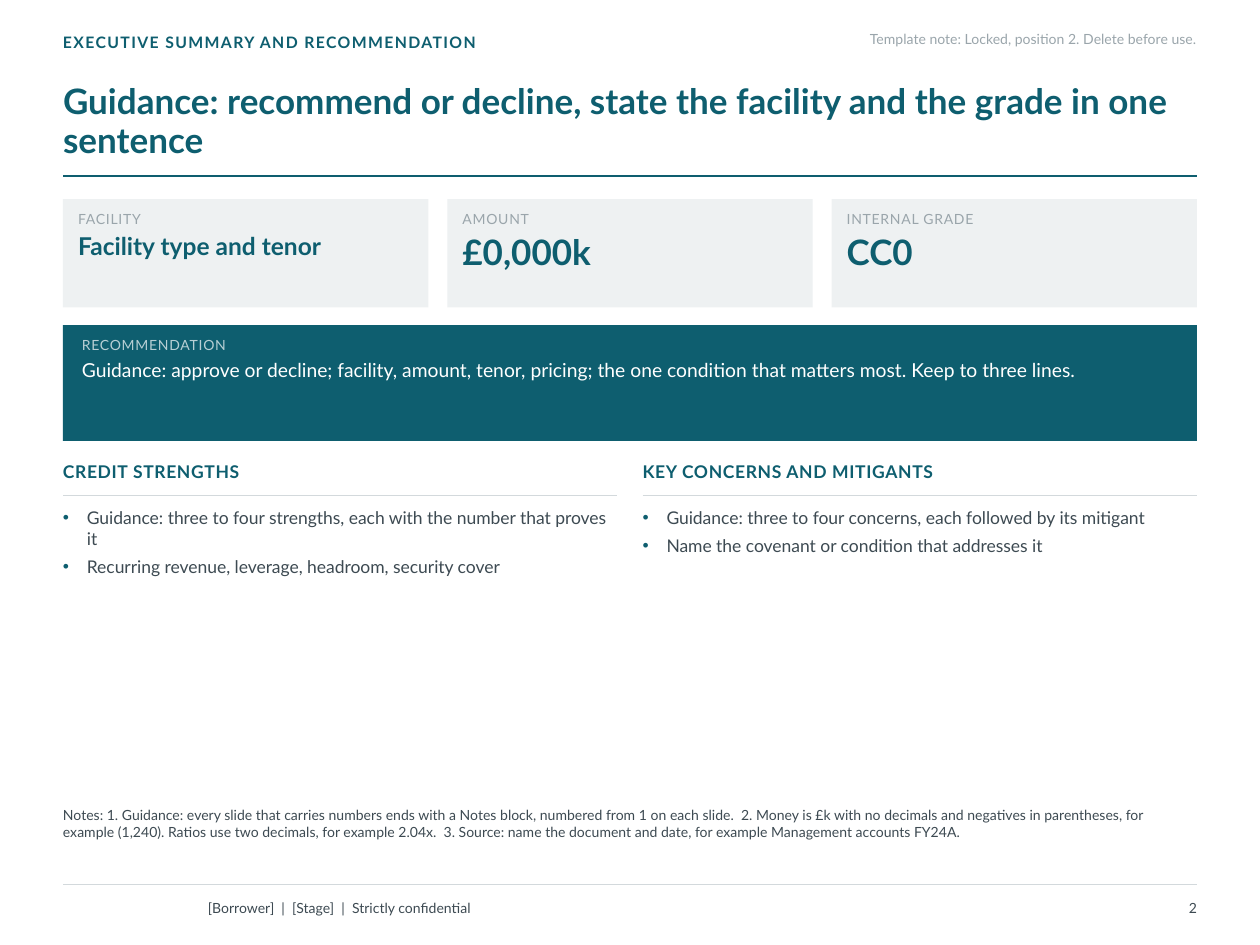
from lxml import etree
from pptx import Presentation
from pptx.dml.color import RGBColor
from pptx.enum.shapes import MSO_CONNECTOR, MSO_SHAPE
from pptx.enum.text import MSO_ANCHOR, MSO_AUTO_SIZE, PP_ALIGN
from pptx.oxml.ns import qn
from pptx.util import Pt

STRAIGHT = MSO_CONNECTOR.STRAIGHT
RECTANGLE = MSO_SHAPE.RECTANGLE
TOP, MIDDLE, BOTTOM = MSO_ANCHOR.TOP, MSO_ANCHOR.MIDDLE, MSO_ANCHOR.BOTTOM
LEFT, RIGHT = PP_ALIGN.LEFT, PP_ALIGN.RIGHT
NO_AUTOFIT = MSO_AUTO_SIZE.NONE

TEAL = RGBColor(0x0E, 0x5E, 0x6F)
PALE_TEAL = RGBColor(0xB7, 0xCF, 0xD4)
PANEL = RGBColor(0xEE, 0xF1, 0xF2)
RULE = RGBColor(0xD3, 0xD9, 0xDC)
MUTED = RGBColor(0x9A, 0xA5, 0xAB)
BODY = RGBColor(0x3D, 0x4A, 0x52)
WHITE = RGBColor(0xFF, 0xFF, 0xFF)

FONT = "Lato"
MARGIN = 36
CONTENT_WIDTH = 648
BULLET_INDENT = 13.68


def style(paragraph, size, color, bold=False, spacing=0, align=LEFT):
    paragraph.alignment = align
    for run in paragraph.runs:
        run.font.name = FONT
        run.font.size = Pt(size)
        run.font.bold = bold
        run.font.color.rgb = color
        if spacing:
            run.font._element.set("spc", str(round(spacing * 100)))


def set_frame(frame, insets=(0, 0, 0, 0), anchor=TOP):
    frame.word_wrap = True
    frame.auto_size = NO_AUTOFIT
    frame.vertical_anchor = anchor
    frame.margin_left, frame.margin_top, frame.margin_right, frame.margin_bottom = map(Pt, insets)


def add_label(slide, box, text, size, color, insets=(0, 0, 0, 0), anchor=TOP, **format_options):
    frame = slide.shapes.add_textbox(*map(Pt, box)).text_frame
    set_frame(frame, insets, anchor)
    frame.text = text
    style(frame.paragraphs[0], size, color, **format_options)


def add_rule(slide, left, top, width, color, weight):
    rule = slide.shapes.add_connector(STRAIGHT, Pt(left), Pt(top), Pt(left + width), Pt(top))
    rule.line.color.rgb = color
    rule.line.width = Pt(weight)
    etree.SubElement(rule._element.spPr, qn("a:effectLst"))


def add_bullet(paragraph):
    properties = paragraph._p.get_or_add_pPr()
    properties.set("marL", str(Pt(BULLET_INDENT)))
    properties.set("indent", str(-Pt(BULLET_INDENT)))
    bullet_color = etree.SubElement(properties, qn("a:buClr"))
    etree.SubElement(bullet_color, qn("a:srgbClr"), val=str(TEAL))
    etree.SubElement(properties, qn("a:buFont"), typeface="Arial")
    etree.SubElement(properties, qn("a:buChar"), char="•")


def add_header(slide, left, top, width, height):
    add_label(slide, (left, top + 1.44, 504, 17.28), "EXECUTIVE SUMMARY AND RECOMMENDATION",
              9, TEAL, bold=True, spacing=0.8)
    add_label(slide, (left + width - 295.2, top, 295.2, 17.28),
              "Template note: Locked, position 2. Delete before use.", 8, MUTED, align=RIGHT)

    title = slide.shapes.title
    title.left, title.top, title.width, title.height = map(Pt, (left, 36, width, 59.04))
    set_frame(title.text_frame, (0, 0, 0, 2.88), BOTTOM)
    title.text_frame.text = ("Guidance: recommend or decline, state the facility "
                             "and the grade in one sentence")
    heading = title.text_frame.paragraphs[0]
    heading.line_spacing = 0.92
    style(heading, 20, TEAL, bold=True)
    add_rule(slide, left, top + height, width, TEAL, 1.25)


def add_panel(slide, box, fill, insets, label, label_color, text, size, color, gap, bold):
    panel = slide.shapes.add_shape(RECTANGLE, *map(Pt, box))
    panel.shadow.inherit = False
    panel.fill.solid()
    panel.fill.fore_color.rgb = fill
    panel.line.fill.background()
    set_frame(panel.text_frame, insets)
    panel.text_frame.text = f"{label}\n{text}"
    caption, content = panel.text_frame.paragraphs
    style(caption, 8, label_color, spacing=0.4)
    content.space_before = Pt(gap)
    style(content, size, color, bold=bold)


def add_facts(slide, left, top, width, height):
    facts = [("FACILITY", "Facility type and tenor", 14),
             ("AMOUNT", "£0,000k", 20),
             ("INTERNAL GRADE", "CC0", 20)]
    gap = 10.8
    card_width = (width - gap * (len(facts) - 1)) / len(facts)
    for index, (label, value, size) in enumerate(facts):
        box = (left + index * (card_width + gap), top, card_width, height)
        add_panel(slide, box, PANEL, (8.64, 6.48, 7.2, 3.6), label, MUTED,
                  value, size, TEAL, gap=2, bold=True)


def add_recommendation(slide, *box):
    add_panel(slide, box, TEAL, (10.8, 6.48, 10.8, 3.6), "RECOMMENDATION", PALE_TEAL,
              "Guidance: approve or decline; facility, amount, tenor, pricing; "
              "the one condition that matters most. Keep to three lines.",
              11, WHITE, gap=3, bold=False)


def add_points(slide, left, top, width, height, heading, points):
    add_label(slide, (left, top, width, 18.72), heading, 10, TEAL, bold=True, spacing=0.4)
    add_rule(slide, left, top + 19.44, width, RULE, 0.75)
    list_box = (left, top + 24.48, width, height - 24.48)
    frame = slide.shapes.add_textbox(*map(Pt, list_box)).text_frame
    set_frame(frame, (0, 1.44, 3.6, 0))
    frame.text = "\n".join(points)
    for index, point in enumerate(frame.paragraphs):
        add_bullet(point)
        if index:
            point.space_before = Pt(4)
        style(point, 10, BODY)


def add_assessment(slide, left, top, width, height):
    columns = [
        ("CREDIT STRENGTHS",
         ["Guidance: three to four strengths, each with the number that proves it",
          "Recurring revenue, leverage, headroom, security cover"]),
        ("KEY CONCERNS AND MITIGANTS",
         ["Guidance: three to four concerns, each followed by its mitigant",
          "Name the covenant or condition that addresses it"]),
    ]
    gap = 14.4
    column_width = (width - gap) / 2
    for index, (heading, points) in enumerate(columns):
        add_points(slide, left + index * (column_width + gap), top, column_width, height,
                   heading, points)


def add_notes_block(slide, *box):
    add_label(slide, box,
              "Notes: 1. Guidance: every slide that carries numbers ends with a Notes block, "
              "numbered from 1 on each slide.  2. Money is £k with no decimals and negatives "
              "in parentheses, for example (1,240). Ratios use two decimals, for example 2.04x.  "
              "3. Source: name the document and date, for example Management accounts FY24A.",
              8, BODY)


def add_footer(slide, left, top, width, height):
    add_rule(slide, left, top, width, RULE, 0.75)
    row_top, row_height = top + 4.32, height - 4.32
    add_label(slide, (left + 82.8, row_top, 403.2, row_height),
              "[Borrower]  |  [Stage]  |  Strictly confidential", 8, BODY,
              insets=(0, 3.6, 7.2, 3.6), anchor=MIDDLE)
    add_label(slide, (left + width - 72, row_top, 72, row_height), "2", 8, BODY,
              insets=(7.2, 3.6, 0, 3.6), anchor=MIDDLE, align=RIGHT)


def main():
    deck = Presentation()
    deck.slide_width, deck.slide_height = Pt(720), Pt(540)
    slide = deck.slides.add_slide(deck.slide_layouts[5])
    add_header(slide, MARGIN, 17.28, CONTENT_WIDTH, 83.52)
    add_facts(slide, MARGIN, 113.76, CONTENT_WIDTH, 61.92)
    add_recommendation(slide, MARGIN, 185.76, CONTENT_WIDTH, 66.24)
    add_assessment(slide, MARGIN, 263.52, CONTENT_WIDTH, 191.52)
    add_notes_block(slide, MARGIN, 460.8, CONTENT_WIDTH, 41.76)
    add_footer(slide, MARGIN, 505.44, CONTENT_WIDTH, 23.04)
    deck.save("out.pptx")


if __name__ == "__main__":
    main()
